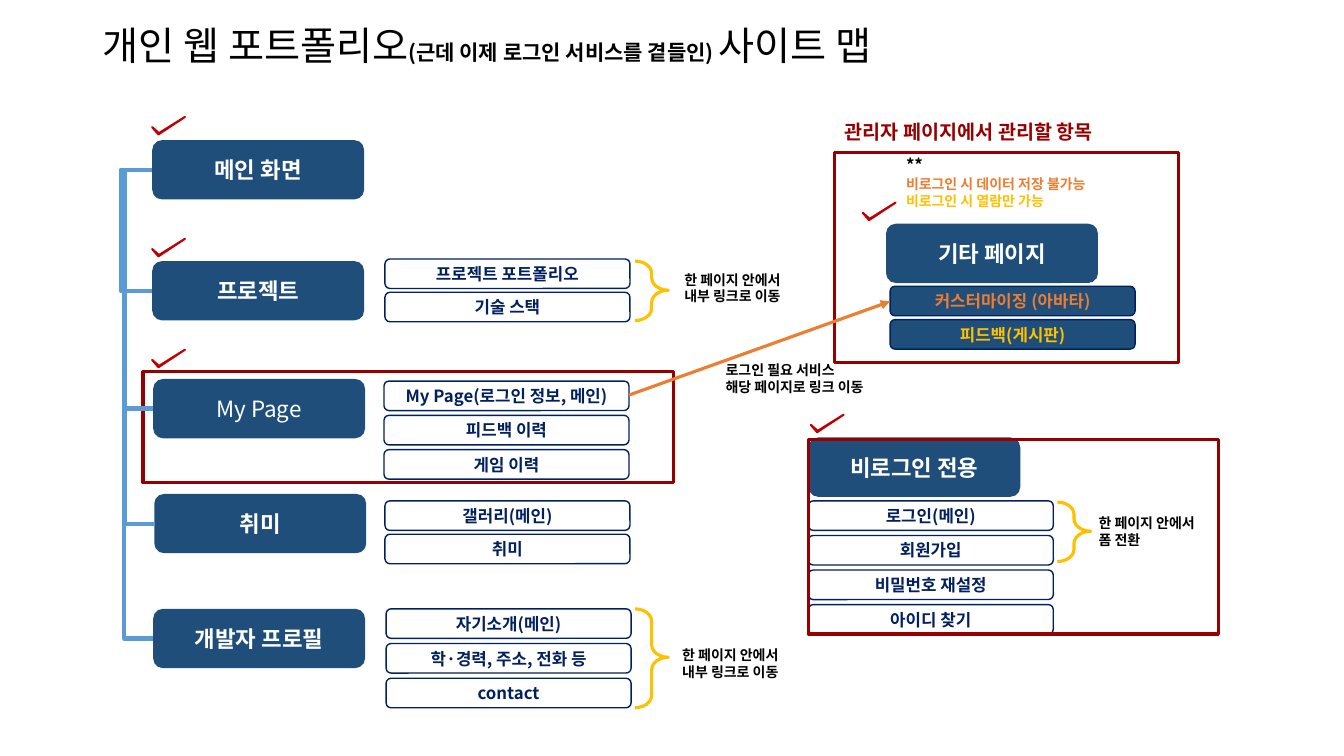
from dataclasses import dataclass

from lxml import etree
from pptx import Presentation
from pptx.dml.color import RGBColor
from pptx.enum import shapes, text
from pptx.oxml import ns
from pptx.util import Pt


@dataclass(frozen=True)
class Theme:
    face: str = "Noto Sans CJK KR"
    blue: str = "1E4E79"
    navy: str = "002060"
    sky: str = "5B9BD5"
    wine: str = "980000"
    red: str = "C00000"
    gold: str = "FFC000"
    orange: str = "ED7D31"
    black: str = "000000"
    white: str = "FFFFFF"
    title: int = 28
    node: int = 16
    head: int = 14
    sub: int = 15
    item: int = 12
    note: int = 10


KIND = shapes.MSO_SHAPE
MID = text.MSO_ANCHOR.MIDDLE
NODE = (151.4, 42.4)
ITEM = (175, 21.1)
TICK = [(0, 7.3), (4.5, 12.5), (23.4, 0), (4.9, 11.6)]
TRUNK = 19.84


def setall(obj, vals):
    for key, val in vals.items():
        setattr(obj, key, val)


def add(parent, tag, **attrs):
    return etree.SubElement(parent, ns.qn(tag), **attrs)


class Sheet:
    def __init__(self, slide, theme):
        self.slide, self.theme = slide, theme
        self.shapes = slide.shapes

    def run(self, para, words, size, color, bold=True):
        run = para.add_run()
        run.text = words
        setall(run.font, {"size": Pt(size), "bold": bold, "name": self.theme.face})
        run.font.color.rgb = RGBColor.from_string(color)
        latin = run.font._element.find(ns.qn("a:latin"))
        east = etree.Element(ns.qn("a:ea"), typeface=self.theme.face)
        latin.addnext(east)

    def stroke(self, shape, color, width):
        shape.line.color.rgb = RGBColor.from_string(color)
        shape.line.width = Pt(width)

    def paint(self, shape, fill=None, line=None, width=1):
        shape.shadow.inherit = False
        if fill:
            shape.fill.solid()
            shape.fill.fore_color.rgb = RGBColor.from_string(fill)
        else:
            shape.fill.background()
        if line:
            self.stroke(shape, line, width)
        else:
            shape.line.fill.background()

    def shape(self, kind, x, y, w, h, **look):
        shape = self.shapes.add_shape(kind, Pt(x), Pt(y), Pt(w), Pt(h))
        self.paint(shape, **look)
        return shape

    def title(self, runs):
        box = self.shapes.title
        setall(box, {"left": Pt(66.2), "top": Pt(9.4), "width": Pt(828), "height": Pt(49.7)})
        setall(box.text_frame, {"vertical_anchor": MID, "word_wrap": True,
                                "auto_size": text.MSO_AUTO_SIZE.NONE})
        para = box.text_frame.paragraphs[0]
        setall(para, {"alignment": text.PP_ALIGN.LEFT, "line_spacing": 0.9})
        for words, size, bold in runs:
            self.run(para, words, size, self.theme.black, bold)

    def frame(self, x, y, w, h):
        self.shape(KIND.RECTANGLE, x, y, w, h, line=self.theme.wine, width=2.25)

    def label(self, spot, dims, words, size, color, bold=True, **look):
        """Rounded box with centred text."""
        box = self.shape(KIND.ROUNDED_RECTANGLE, *spot, *dims, **look)
        setall(box.text_frame, {"vertical_anchor": MID, "word_wrap": True})
        para = box.text_frame.paragraphs[0]
        para.alignment = text.PP_ALIGN.CENTER
        self.run(para, words, size, color, bold)

    def node(self, x, y, words, bold=True):
        th = self.theme
        self.label((x, y), NODE, words, th.node, th.white, bold, fill=th.blue)

    def items(self, x, y, step, names, colors=(), fill=None):
        th = self.theme
        colors = colors or [th.navy] * len(names)
        for i, (name, color) in enumerate(zip(names, colors)):
            self.label((x, y + i * step), ITEM, name, th.item, color,
                       fill=fill, line=th.navy)

    def note(self, x, y, w, h, lines, pad=3.6):
        """Text box; each line is (words, size, color)."""
        box = self.shapes.add_textbox(Pt(x), Pt(y), Pt(w), Pt(h))
        frame = box.text_frame
        setall(frame, {"word_wrap": True, "margin_top": Pt(pad), "margin_bottom": Pt(pad),
                       "auto_size": text.MSO_AUTO_SIZE.SHAPE_TO_FIT_TEXT})
        for i, line in enumerate(lines):
            para = frame.add_paragraph() if i else frame.paragraphs[0]
            self.run(para, *line)

    def brace(self, x, y, h):
        brace = self.shape(KIND.RIGHT_BRACE, x, y, 23.8, h,
                           line=self.theme.gold, width=2.25)
        brace.adjustments[0] = 0.37
        brace.adjustments[1] = 0.49

    def tick(self, x, y):
        dots = [(Pt(x + dx), Pt(y + dy)) for dx, dy in TICK]
        pen = self.shapes.build_freeform(*dots[0])
        pen.add_line_segments(dots[1:], close=True)
        red = self.theme.red
        self.paint(pen.convert_to_shape(), fill=red, line=red, width=1.5)

    def link(self, kind, x, y, x2, y2, color, width):
        line = self.shapes.add_connector(kind, Pt(x), Pt(y), Pt(x2), Pt(y2))
        self.stroke(line, color, width)
        add(line._element.spPr, "a:effectLst")
        return line

    def branch(self, x, y, dx, y2):
        """Elbow whose trunk runs to the left of both ends."""
        line = self.link(shapes.MSO_CONNECTOR.ELBOW, x, y, x + dx, y2, self.theme.sky, 3)
        geom = line._element.spPr.find(ns.qn("a:prstGeom"))
        guides = geom.find(ns.qn("a:avLst"))
        if guides is None:
            guides = add(geom, "a:avLst")
        add(guides, "a:gd", name="adj1", fmla=f"val {round(-TRUNK / dx * 100000)}")

    def arrow(self, x, y, x2, y2):
        line = self.link(shapes.MSO_CONNECTOR.STRAIGHT, x, y, x2, y2,
                         self.theme.orange, 2.25)
        add(line.line._get_or_add_ln(), "a:tailEnd", type="triangle")


def draw(sheet):
    th = sheet.theme
    sheet.frame(596.2, 108.7, 245.5, 150.5)
    sheet.title([("개인 웹 포트폴리오", th.title, False),
                 ("(근데 이제 로그인 서비스를 곁들인) ", th.sub, True),
                 ("사이트 맵", th.title, False)])
    sheet.frame(102.2, 265.7, 378.7, 79.2)

    menu = [(108.7, 100.1, "메인 화면"), (108.7, 186.5, "프로젝트"),
            (109.4, 270.7, "My Page"), (110.2, 352.8, "취미"),
            (109.4, 434.9, "개발자 프로필")]
    for x, y, name in menu:
        sheet.node(x, y, name, name != "My Page")
    groups = [
        (275, 185, 23.8, ["프로젝트 포트폴리오", "기술 스택"]),
        (274.3, 272.2, 24.5, ["My Page(로그인 정보, 메인)", "피드백 이력", "게임 이력"]),
        (275, 357.8, 23.8, ["갤러리(메인)", "취미"]),
        (275.8, 434.9, 24.8, ["자기소개(메인)", "학·경력, 주소, 전화 등", "contact"])]
    for group in groups:
        sheet.items(*group)

    half = NODE[1] / 2
    for dx, (_, y, _) in zip((0.05, 0.85, 1.68, 0.85), menu[1:]):
        sheet.branch(108.7, 100.1 + half, dx, y + half)

    sheet.node(577.4, 312.5, "비로그인 전용")
    sheet.items(577.4, 357.8, 24.7, ["로그인(메인)", "회원가입", "비밀번호 재설정", "아이디 찾기"])
    sheet.frame(577.4, 313.9, 293, 139)
    sheet.node(632.9, 159.8, "기타 페이지")
    sheet.items(635.8, 204.5, 23.8, ["커스터마이징 (아바타)", "피드백(게시판)"],
                (th.orange, th.gold), th.blue)
    sheet.arrow(449.3, 282.2, 635.8, 215.3)

    for brace in ((453.6, 186.5, 42.5), (453.6, 434.9, 70.6), (755.3, 358.6, 42.5)):
        sheet.brace(*brace)
    inner = "한 페이지 안에서 내부 링크로 이동"
    notes = [(481.7, 190.1, 97.2, [inner]), (480.2, 458.6, 97.2, [inner]),
             (777.6, 364.3, 92.9, ["한 페이지 안에서 폼 전환"]),
             (511.2, 254.9, 137.5, ["로그인 필요 서비스", "해당 페이지로 링크 이동"])]
    for x, y, w, lines in notes:
        sheet.note(x, y, w, 31.7, [(line, th.note, th.black) for line in lines])
    sheet.note(640.1, 103.7, 175, 53.3, [
        ("**", th.item, th.black),
        ("비로그인 시 데이터 저장 불가능", th.note, th.orange),
        ("비로그인 시 열람만 가능", th.note, th.gold)], pad=7.2)
    sheet.note(596.2, 78.5, 245.5, 31.7,
               [("관리자 페이지에서 관리할 항목", th.head, th.wine)], pad=7.2)

    for spot in ((108.7, 83.5), (108.7, 170.6), (108.7, 249.8),
                 (616.3, 144.7), (579.2, 296.2)):
        sheet.tick(*spot)


def main():
    deck = Presentation()
    setall(deck, {"slide_width": Pt(960), "slide_height": Pt(540)})
    draw(Sheet(deck.slides.add_slide(deck.slide_layouts[5]), Theme()))
    deck.save("out.pptx")


if __name__ == "__main__":
    main()
